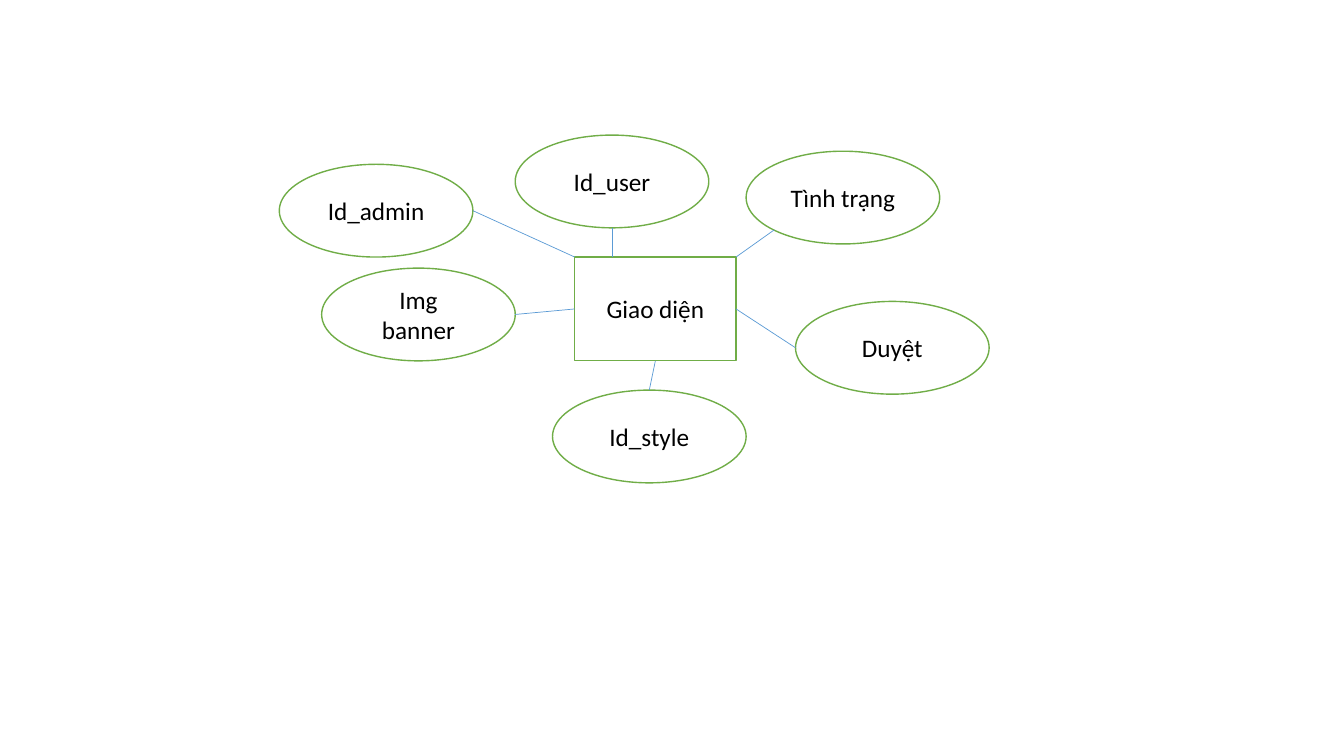
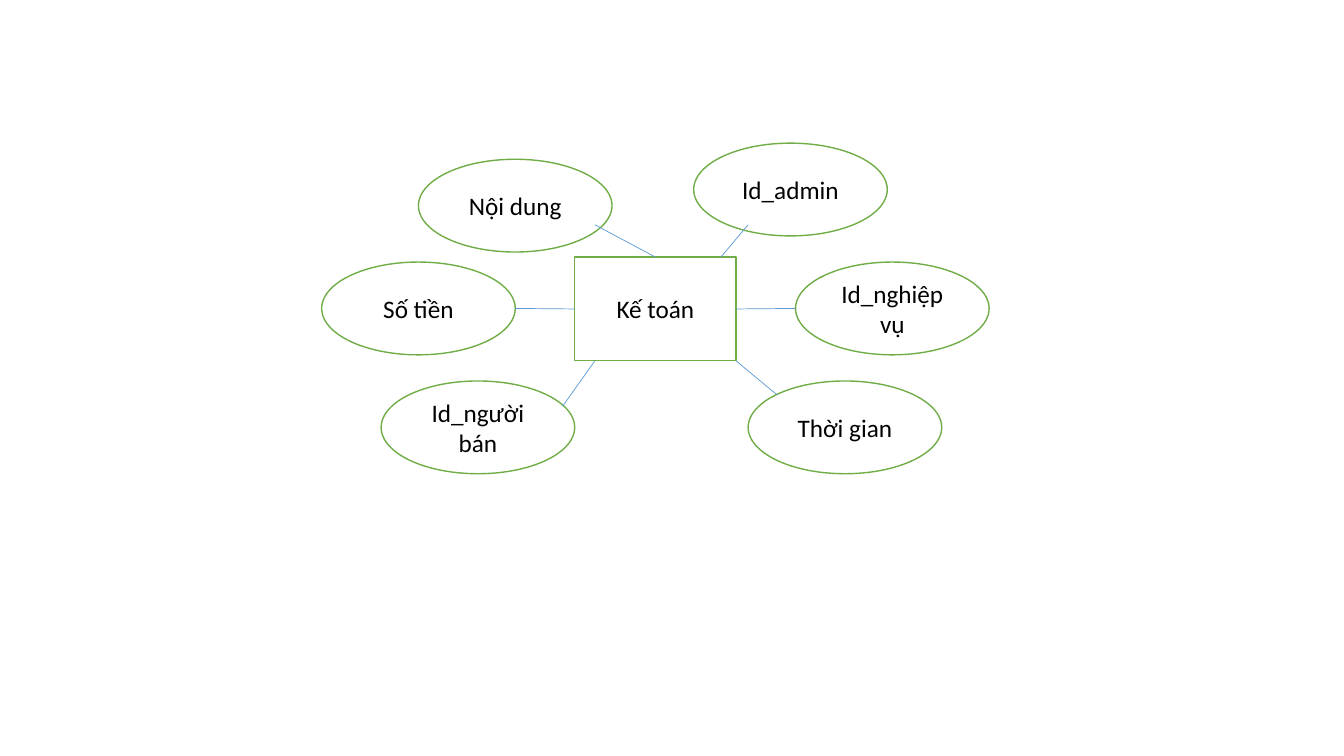
"""Build two entity diagrams, each with one entity and its attributes."""
from lxml import etree
from pptx import Presentation
from pptx import util as u
from pptx.dml.color import RGBColor
from pptx.enum import shapes, text
from pptx.oxml import ns

WHITE = RGBColor(0xFF, 0xFF, 0xFF)
BLACK = RGBColor(0x00, 0x00, 0x00)
GREEN = RGBColor(0x70, 0xAD, 0x47)
BLUE = RGBColor(0x5B, 0x9B, 0xD5)

TOP, LEFT, BOTTOM, RIGHT = range(4)
ENTITY_BOX = (5.7, 2.55, 1.6, 1.03)
ATTRIBUTE_SIZE = (1.92, 0.92)

DIAGRAMS = {
    "Giao diện": [
        ("Id_style", (5.48, 3.87), (6.44, 3.87), BOTTOM),
        ("Img banner", (3.19, 2.66), (5.11, 3.12), LEFT),
        ("Id_user", (5.11, 1.34), (6.07, 2.26), (6.07, 2.55)),
        ("Tình trạng", (7.4, 1.5), (7.68, 2.28), (7.3, 2.55)),
        ("Duyệt", (7.89, 2.99), (7.89, 3.45), RIGHT),
        ("Id_admin", (2.77, 1.63), (4.69, 2.09), (5.7, 2.55)),
    ],
    "Kế toán": [
        ("Id_nghiệp vụ", (7.89, 2.6), (7.89, 3.06), RIGHT),
        ("Thời gian", (7.42, 3.78), (7.71, 3.92), (7.3, 3.58)),
        ("Id_người bán", (3.78, 3.78), (5.58, 4.03), (5.9, 3.58)),
        ("Số tiền", (3.19, 2.6), (5.11, 3.06), LEFT),
        ("Nội dung", (4.15, 1.58), (5.9, 2.23), TOP),
        ("Id_admin", (6.88, 1.42), (7.42, 2.23), (7.15, 2.55)),
    ],
}


def apply(target, values):
    for name, value in values.items():
        setattr(target, name, value)


class Diagram:
    font = {"name": "Calibri", "size": u.Pt(18)}
    frame = {"word_wrap": True, "vertical_anchor": text.MSO_ANCHOR.MIDDLE}

    def __init__(self, presentation):
        self.slide = presentation.slides.add_slide(presentation.slide_layouts[6])

    def outline(self, line, color, width):
        line.fill.solid()
        line.fill.fore_color.rgb = color
        line.width = u.Pt(width)

    def node(self, kind, box, label):
        shape = self.slide.shapes.add_shape(kind, *map(u.Inches, box))
        shape.shadow.inherit = False
        shape.fill.solid()
        shape.fill.fore_color.rgb = WHITE
        self.outline(shape.line, GREEN, 1)
        apply(shape.text_frame, self.frame)
        paragraph = shape.text_frame.paragraphs[0]
        paragraph.alignment = text.PP_ALIGN.CENTER
        run = paragraph.add_run()
        run.text = label
        apply(run.font, self.font)
        run.font.color.rgb = BLACK
        return shape

    def entity(self, label):
        return self.node(shapes.MSO_SHAPE.RECTANGLE, ENTITY_BOX, label)

    def attribute(self, label, corner):
        return self.node(shapes.MSO_SHAPE.OVAL, corner + ATTRIBUTE_SIZE, label)

    def link(self, start, end, entity):
        joined = isinstance(end, int)
        points = start + (start if joined else end)
        connector = self.slide.shapes.add_connector(
            shapes.MSO_CONNECTOR.STRAIGHT, *map(u.Inches, points))
        if joined:
            connector.end_connect(entity, end)
        self.outline(connector.line, BLUE, 0.5)
        etree.SubElement(connector._element.spPr, ns.qn("a:effectLst"))


def main():
    presentation = Presentation()
    apply(presentation, {"slide_width": u.Inches(13.33), "slide_height": u.Inches(7.5)})
    for name, attributes in DIAGRAMS.items():
        diagram = Diagram(presentation)
        entity = diagram.entity(name)
        for label, corner, start, end in attributes:
            diagram.attribute(label, corner)
            diagram.link(start, end, entity)
    presentation.save("out.pptx")


if __name__ == "__main__":
    main()
